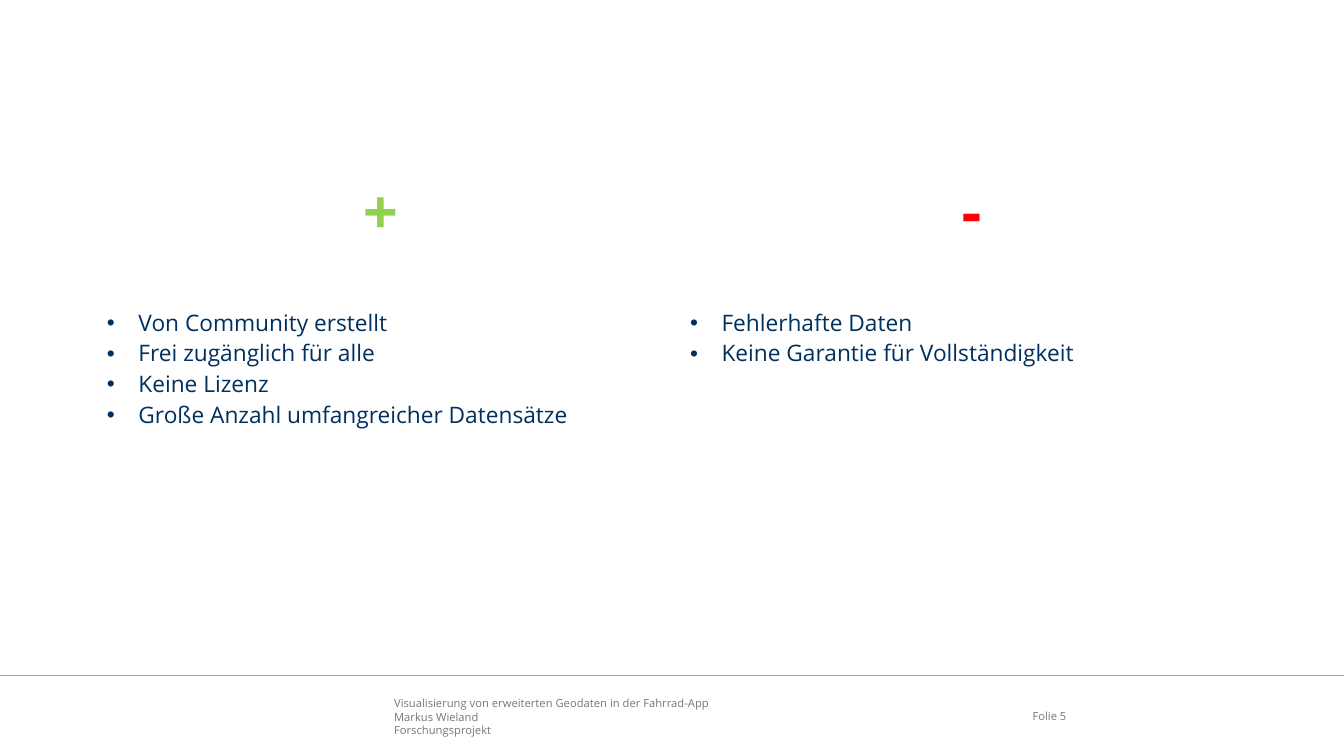
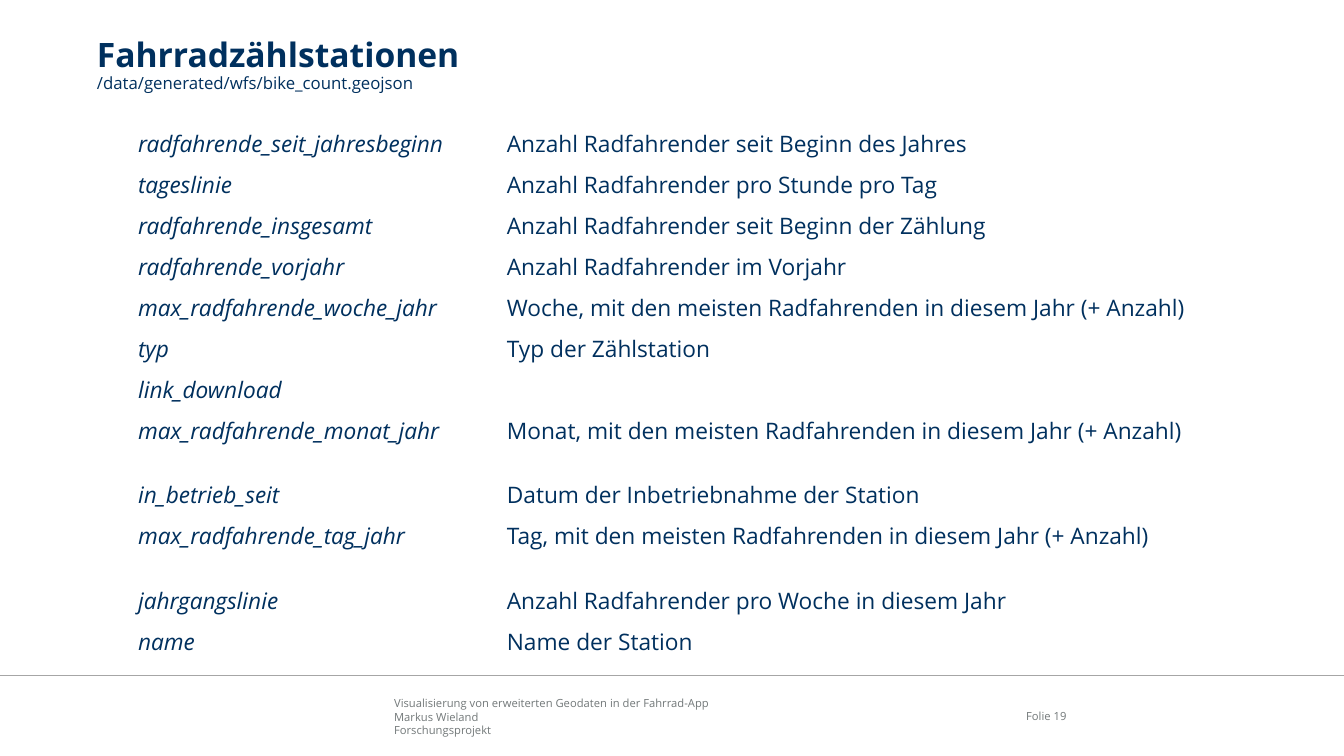
from typing import Any, NamedTuple

from pptx import Presentation
from pptx.dml.color import RGBColor
from pptx.enum.shapes import MSO_CONNECTOR
from pptx.enum.text import MSO_ANCHOR, PP_ALIGN
from pptx.oxml.ns import qn
from pptx.slide import Slide
from pptx.table import Table, _Cell
from pptx.text.text import TextFrame, _Paragraph
from pptx.util import Pt
from lxml.etree import SubElement

COLORS = {
    "navy": "00305E",
    "footer": "727879",
    "rule": "A6A6A6",
    "plus": "92D050",
    "minus": "FF0000",
    "white": "FFFFFF",
}
FONT = "Open Sans"
SLIDE_WIDTH, SLIDE_HEIGHT = 960, 540
CONTENT_LEFT, CONTENT_WIDTH = 69.2, 833
RULE_TOP = 482.4
BULLET_INDENT = 22.5

BODY = {"size": Pt(16.2), "bold": False, "italic": False}
FIELD_NAME = {**BODY, "italic": True}
SIGN = {"size": Pt(44), "bold": True}
HEADING = {"size": Pt(24), "bold": True}
SUBHEADING = {"size": Pt(12), "bold": False}
FOOTER = {"size": Pt(8), "bold": False}

FOOTER_LINES = [
    "Visualisierung von erweiterten Geodaten in der Fahrrad-App",
    "Markus Wieland",
    "Forschungsprojekt",
]


class Box(NamedTuple):
    left: float
    top: float
    width: float
    height: float


class Assessment(NamedTuple):
    sign: str
    color: str
    points: list[str]


class Field(NamedTuple):
    name: str
    meaning: str
    height: float = 29.3


FOOTER_BOX = Box(281.5, 497.5, 408, 28.8)
NUMBER_BOX = Box(706.3, 496.8, 55.5, 28.8)
TITLE_BOX = Box(CONTENT_LEFT, 27.4, CONTENT_WIDTH, 54)

ASSESSMENTS = [
    Assessment("+ ", "plus", [
        "Von Community erstellt",
        "Frei zugänglich für alle",
        "Keine Lizenz",
        "Große Anzahl umfangreicher Datensätze",
    ]),
    Assessment("-", "minus", [
        "Fehlerhafte Daten",
        "Keine Garantie für Vollständigkeit",
    ]),
]

TALL_ROW = 46.2
FIELDS = [
    Field("radfahrende_seit_jahresbeginn", "Anzahl Radfahrender seit Beginn des Jahres"),
    Field("tageslinie", "Anzahl Radfahrender pro Stunde pro Tag"),
    Field("radfahrende_insgesamt", "Anzahl Radfahrender seit Beginn der Zählung"),
    Field("radfahrende_vorjahr", "Anzahl Radfahrender im Vorjahr"),
    Field("max_radfahrende_woche_jahr",
          "Woche, mit den meisten Radfahrenden in diesem Jahr (+ Anzahl)"),
    Field("typ", "Typ der Zählstation"),
    Field("link_download", ""),
    Field("max_radfahrende_monat_jahr",
          "Monat, mit den meisten Radfahrenden in diesem Jahr (+ Anzahl)", TALL_ROW),
    Field("in_betrieb_seit", "Datum der Inbetriebnahme der Station"),
    Field("max_radfahrende_tag_jahr",
          "Tag, mit den meisten Radfahrenden in diesem Jahr (+ Anzahl)", TALL_ROW),
    Field("jahrgangslinie", "Anzahl Radfahrender pro Woche in diesem Jahr"),
    Field("name", "Name der Station"),
]


def rgb(color: str) -> RGBColor:
    return RGBColor.from_string(COLORS[color])


def add_text(paragraph: _Paragraph, text: str, style: dict[str, Any],
             color: str = "navy") -> None:
    run = paragraph.add_run()
    run.text = text
    for attribute, value in {"name": FONT, **style}.items():
        setattr(run.font, attribute, value)
    run.font.color.rgb = rgb(color)


def format_frame(frame: TextFrame, anchor: MSO_ANCHOR) -> None:
    settings = {"word_wrap": True, "vertical_anchor": anchor, "margin_left": 0,
                "margin_top": 0, "margin_right": 0, "margin_bottom": 0}
    for attribute, value in settings.items():
        setattr(frame, attribute, value)


def add_footer_text(slide: Slide, box: Box, lines: list[str],
                    align: PP_ALIGN) -> None:
    frame = slide.shapes.add_textbox(*map(Pt, box)).text_frame
    format_frame(frame, MSO_ANCHOR.MIDDLE)
    for index, line in enumerate(lines):
        paragraph = frame.add_paragraph() if index else frame.paragraphs[0]
        paragraph.alignment = align
        paragraph.line_spacing = Pt(9.6)
        add_text(paragraph, line, FOOTER, "footer")


def add_footer(slide: Slide, number: int) -> None:
    rule = slide.shapes.add_connector(
        MSO_CONNECTOR.STRAIGHT, 0, Pt(RULE_TOP), Pt(SLIDE_WIDTH), Pt(RULE_TOP))
    rule.line.color.rgb = rgb("rule")
    rule.line.width = Pt(1)
    SubElement(rule._element.spPr, qn("a:effectLst"))
    add_footer_text(slide, FOOTER_BOX, FOOTER_LINES, PP_ALIGN.LEFT)
    add_footer_text(slide, NUMBER_BOX, [f"Folie {number}"], PP_ALIGN.RIGHT)


def add_title(slide: Slide, heading: str, subheading: str) -> None:
    title = slide.shapes.title
    for attribute, value in TITLE_BOX._asdict().items():
        setattr(title, attribute, Pt(value))
    format_frame(title.text_frame, MSO_ANCHOR.TOP)
    paragraph = title.text_frame.paragraphs[0]
    paragraph.alignment = PP_ALIGN.LEFT
    paragraph.line_spacing = 0.9
    add_text(paragraph, heading, HEADING)
    paragraph.add_line_break()
    add_text(paragraph, subheading, SUBHEADING)


def add_plain_table(slide: Slide, left: float, top: float, widths: list[float],
                    heights: list[float]) -> Table:
    """Add a white table without header or banding."""
    table = slide.shapes.add_table(
        len(heights), len(widths), Pt(left), Pt(top),
        Pt(sum(widths)), Pt(sum(heights))).table
    table.first_row = table.horz_banding = False
    for column, width in zip(table.columns, widths):
        column.width = Pt(width)
    for row, height in zip(table.rows, heights):
        row.height = Pt(height)
    for cell in table.iter_cells():
        cell.fill.solid()
        cell.fill.fore_color.rgb = rgb("white")
    return table


def add_bullets(cell: _Cell, points: list[str]) -> None:
    frame = cell.text_frame
    for index, point in enumerate(points):
        paragraph = frame.add_paragraph() if index else frame.paragraphs[0]
        properties = paragraph._p.get_or_add_pPr()
        properties.set("marL", str(Pt(BULLET_INDENT)))
        properties.set("indent", str(-Pt(BULLET_INDENT)))
        SubElement(properties, qn("a:buFont"), typeface="Arial")
        SubElement(properties, qn("a:buChar"), char="•")
        add_text(paragraph, point, BODY)


def build_assessment(slide: Slide) -> None:
    widths = [CONTENT_WIDTH / len(ASSESSMENTS)] * len(ASSESSMENTS)
    table = add_plain_table(slide, CONTENT_LEFT, 116.6, widths, [99, 96])
    for column, assessment in enumerate(ASSESSMENTS):
        sign = table.cell(0, column).text_frame.paragraphs[0]
        sign.alignment = PP_ALIGN.CENTER
        add_text(sign, assessment.sign, SIGN, assessment.color)
        add_bullets(table.cell(1, column), assessment.points)


def build_fields(slide: Slide) -> None:
    add_title(slide, "Fahrradzählstationen", "/data/generated/wfs/bike_count.geojson")
    table = add_plain_table(slide, 91.4, 87.8, [263.5, 605],
                            [field.height for field in FIELDS])
    for row, field in enumerate(FIELDS):
        for column, (text, style) in enumerate(
                [(field.name, FIELD_NAME), (field.meaning, BODY)]):
            if text:
                add_text(table.cell(row, column).text_frame.paragraphs[0], text, style)


def main() -> None:
    presentation = Presentation()
    presentation.slide_width = Pt(SLIDE_WIDTH)
    presentation.slide_height = Pt(SLIDE_HEIGHT)
    title_only, blank = presentation.slide_layouts[5], presentation.slide_layouts[6]
    for layout, number, build in [(blank, 5, build_assessment),
                                  (title_only, 19, build_fields)]:
        slide = presentation.slides.add_slide(layout)
        add_footer(slide, number)
        build(slide)
    presentation.save("out.pptx")


if __name__ == "__main__":
    main()
